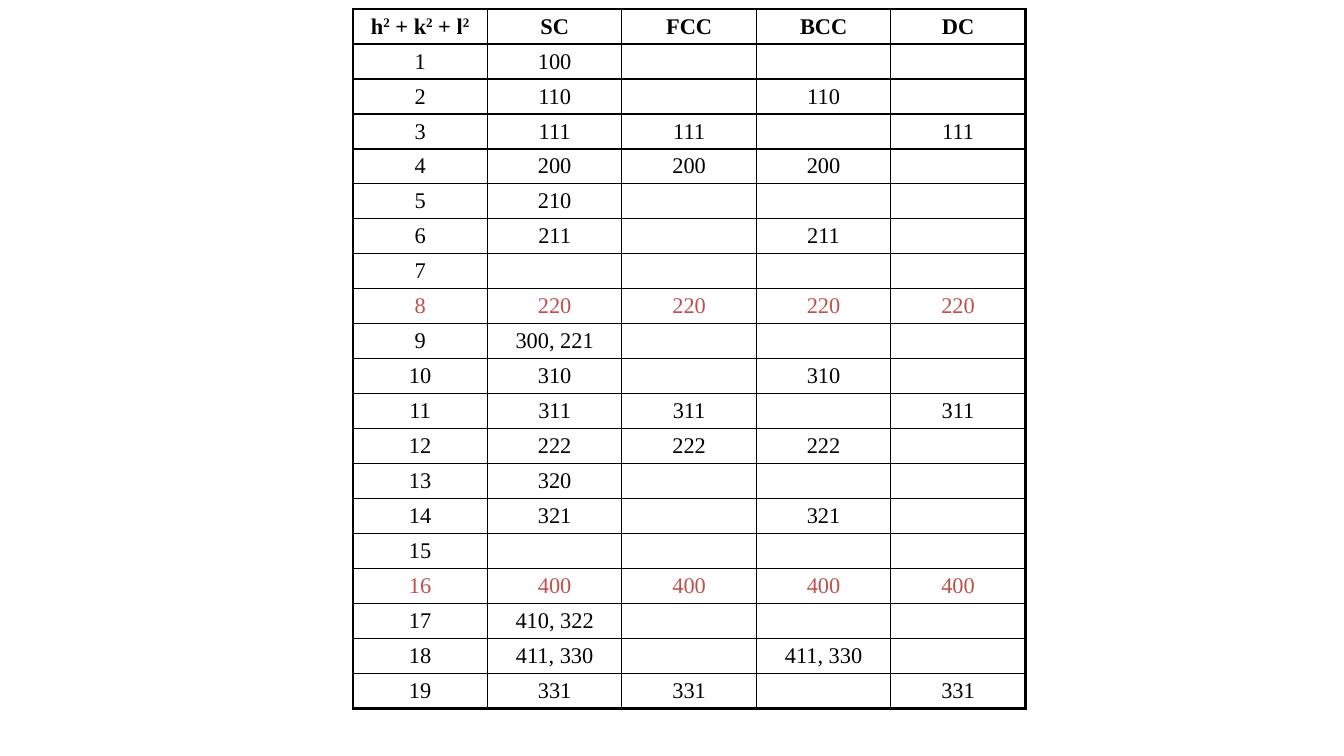
from lxml.etree import SubElement
from pptx import Presentation
from pptx.dml.color import RGBColor
from pptx.enum.text import MSO_ANCHOR, PP_ALIGN
from pptx.oxml.ns import qn
from pptx.util import Inches, Pt

BLACK, RED = "000000", "C0504D"
THIN, THICK = 1, 2.25
HEADER = ["h^2^ + k^2^ + l^2", "SC", "FCC", "BCC", "DC"]
REFLECTIONS = [
    ["1", "100", "", "", ""],
    ["2", "110", "", "110", ""],
    ["3", "111", "111", "", "111"],
    ["4", "200", "200", "200", ""],
    ["5", "210", "", "", ""],
    ["6", "211", "", "211", ""],
    ["7", "", "", "", ""],
    ["8", "220", "220", "220", "220"],
    ["9", "300, 221", "", "", ""],
    ["10", "310", "", "310", ""],
    ["11", "311", "311", "", "311"],
    ["12", "222", "222", "222", ""],
    ["13", "320", "", "", ""],
    ["14", "321", "", "321", ""],
    ["15", "", "", "", ""],
    ["16", "400", "400", "400", "400"],
    ["17", "410, 322", "", "", ""],
    ["18", "411, 330", "", "411, 330", ""],
    ["19", "331", "331", "", "331"],
]
ROWS = [HEADER] + REFLECTIONS
LEFT, TOP, WIDTH, HEIGHT = 3.5, 0.09, 6.67, 6.94


def color(value):
    return RGBColor.from_string(value)


def write(cell, text, size=16, font="Times New Roman", ink=BLACK, bold=False):
    paragraph = cell.text_frame.paragraphs[0]
    paragraph.alignment = PP_ALIGN.CENTER
    pieces = text.split("^") if text else []
    for index, piece in enumerate(pieces):
        run = paragraph.add_run()
        run.text = piece
        run.font.size = Pt(size)
        run.font.name = font
        run.font.bold = bold
        run.font.color.rgb = color(ink)
        if index % 2:
            run._r.get_or_add_rPr().set("baseline", "30000")


def draw_borders(cell, widths):
    properties = cell._tc.get_or_add_tcPr()
    for side, width in widths.items():
        line = SubElement(properties, qn(f"a:ln{side}"), w=str(Pt(width)))
        fill = SubElement(line, qn("a:solidFill"))
        SubElement(fill, qn("a:srgbClr"), val=BLACK)


def main():
    presentation = Presentation()
    presentation.slide_width = Inches(13.33)
    presentation.slide_height = Inches(7.5)
    slide = presentation.slides.add_slide(presentation.slide_layouts[6])

    row_count, column_count = len(ROWS), len(HEADER)
    table = slide.shapes.add_table(
        row_count, column_count, Inches(LEFT), Inches(TOP), Inches(WIDTH), Inches(HEIGHT)
    ).table
    table.first_row = False
    table.horz_banding = False

    for row, values in enumerate(ROWS):
        highlighted = row > 0 and row % 8 == 0
        for column, text in enumerate(values):
            cell = table.cell(row, column)
            cell.vertical_anchor = MSO_ANCHOR.MIDDLE
            cell.margin_top = cell.margin_bottom = Inches(0.02)
            write(cell, text, ink=RED if highlighted else BLACK, bold=row == 0)
            draw_borders(cell, {
                "L": THICK if column == 0 else THIN,
                "R": THICK if column == column_count - 1 else THIN,
                "T": THICK if row == 0 else THIN,
                "B": THICK if row == row_count - 1 else THIN,
            })
            cell.fill.background()

    presentation.save("out.pptx")


if __name__ == "__main__":
    main()
